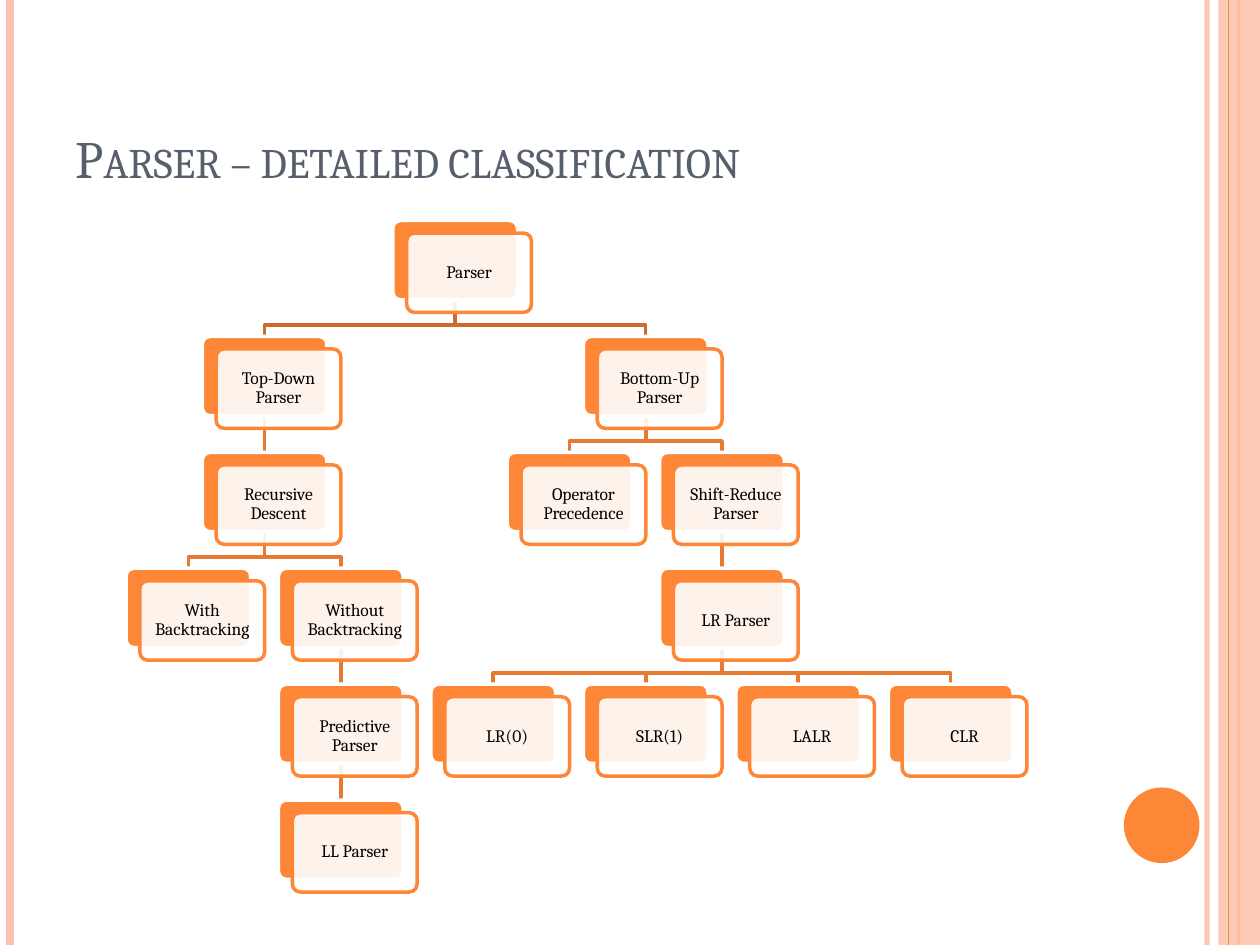
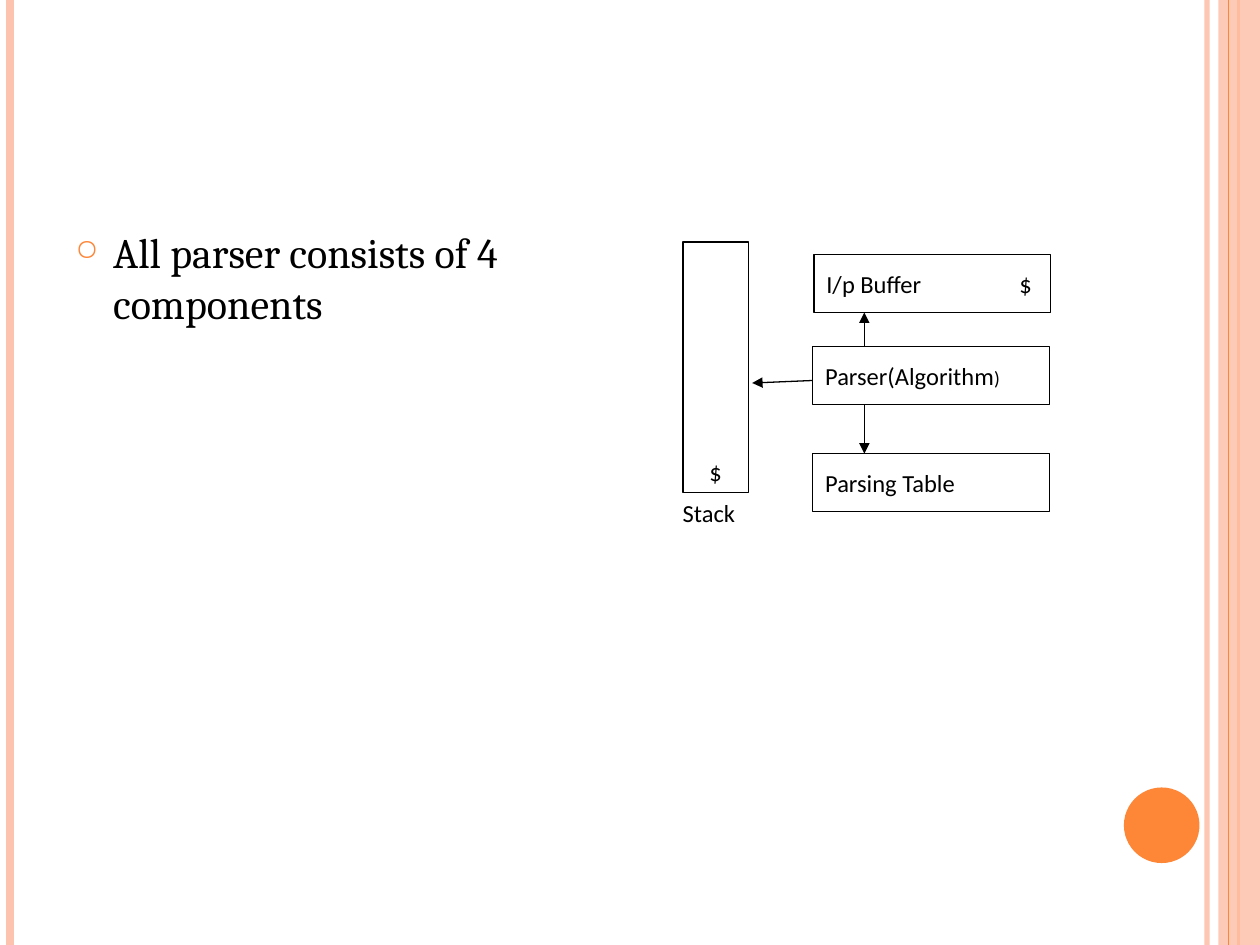
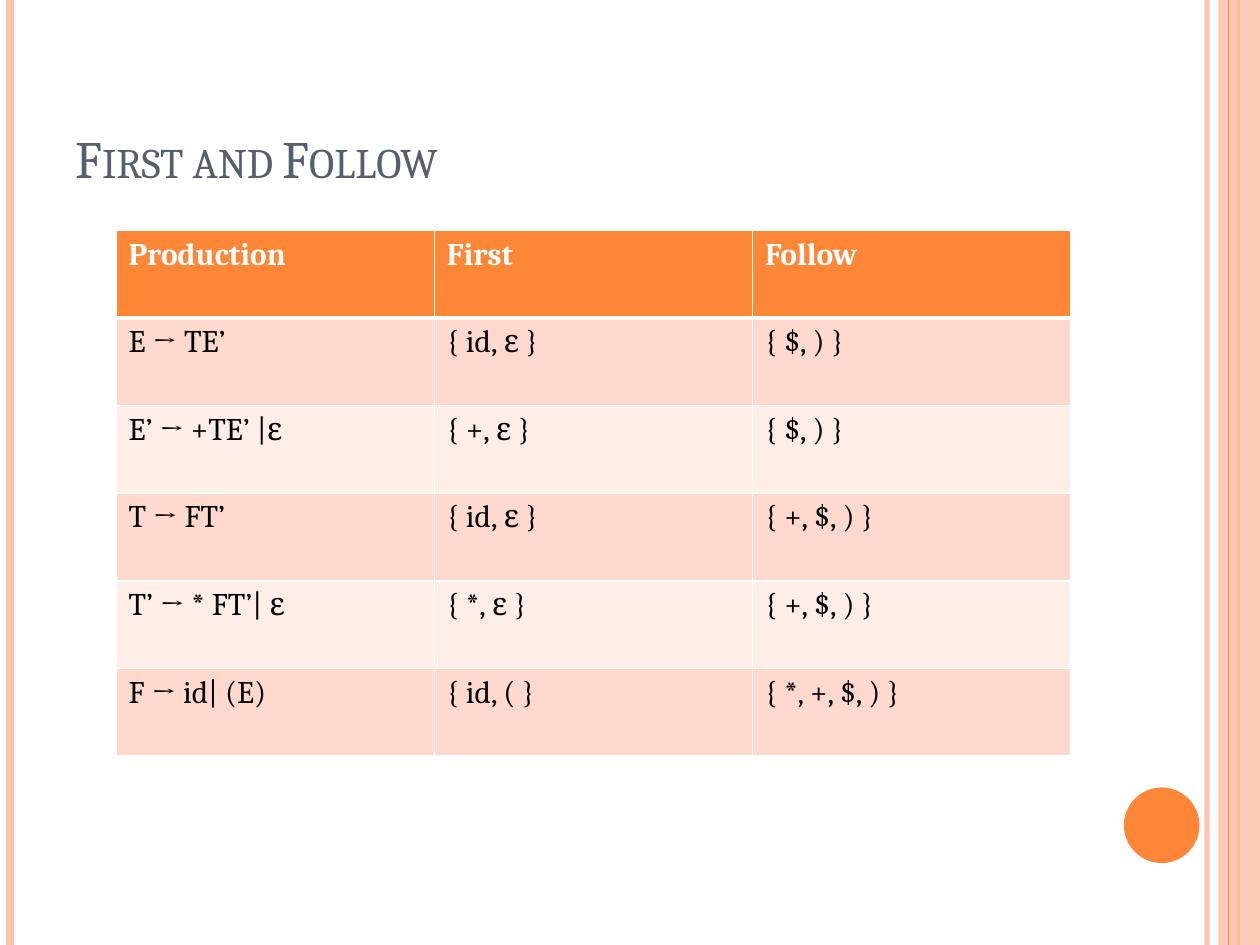
from dataclasses import dataclass

from lxml import etree
from pptx import Presentation
from pptx.dml.color import RGBColor
from pptx.enum.shapes import MSO_CONNECTOR, MSO_SHAPE
from pptx.enum.text import MSO_ANCHOR, PP_ALIGN
from pptx.oxml.ns import qn
from pptx.util import Inches, Pt

STRAIGHT = MSO_CONNECTOR.STRAIGHT
RECTANGLE, ROUNDED, OVAL = MSO_SHAPE.RECTANGLE, MSO_SHAPE.ROUNDED_RECTANGLE, MSO_SHAPE.OVAL
TOP, MIDDLE, BOTTOM = MSO_ANCHOR.TOP, MSO_ANCHOR.MIDDLE, MSO_ANCHOR.BOTTOM
LEFT, CENTER = PP_ALIGN.LEFT, PP_ALIGN.CENTER
SITE_TOP, SITE_BOTTOM = 0, 2

ORANGE = RGBColor(0xFE, 0x86, 0x37)
PEACH = RGBColor(0xFE, 0xC3, 0xAE)
SLATE = RGBColor(0x57, 0x5F, 0x6D)
TOP_BRANCH = RGBColor(0xCB, 0x6B, 0x2C)
BRANCH = RGBColor(0xE7, 0x7A, 0x32)
DARK_BAND = RGBColor(0xFF, 0xD9, 0xCE)
LIGHT_BAND = RGBColor(0xFF, 0xED, 0xE8)
WHITE = RGBColor(0xFF, 0xFF, 0xFF)
BLACK = RGBColor(0x00, 0x00, 0x00)

SERIF, SANS = "Cambria", "Calibri"
PAGE_WIDTH, PAGE_HEIGHT = 10, 7.5

CARD_WIDTH, CARD_HEIGHT = 0.99, 0.63
CARD_SHIFT_X, CARD_SHIFT_Y = 0.11, 0.1
TREE_LEFT, TREE_TOP = 1, 1.75
COLUMN_STEP, LEVEL_STEP = 1.21, 0.92
BRANCH_DROP = 0.2


@dataclass(frozen=True)
class Stripe:
    x: float
    color: RGBColor
    weight: float
    opacity: int = 100


@dataclass(frozen=True)
class Node:
    label: str
    column: float
    level: int
    parent: str = ""

    @property
    def left(self) -> float:
        return TREE_LEFT + self.column * COLUMN_STEP

    @property
    def top(self) -> float:
        return TREE_TOP + self.level * LEVEL_STEP

    @property
    def middle(self) -> float:
        return self.left + CARD_WIDTH / 2


@dataclass(frozen=True)
class Component:
    label: str
    left: float
    top: float
    width: float = 1.88
    height: float = 0.46
    anchor: MSO_ANCHOR = MIDDLE
    align: PP_ALIGN = LEFT
    small_ending: str = ""


@dataclass(frozen=True)
class Arrow:
    start: tuple[float, float]
    end: tuple[float, float]


LEFT_STRIPES = [Stripe(9.58, PEACH, 3, 93), Stripe(0.08, PEACH, 4.5), Stripe(9.83, ORANGE, 1.5)]
FRONT_STRIPE = Stripe(9.75, ORANGE, 0.75)

NODES = [
    Node("Parser", 1.75, 0),
    Node("Top-Down Parser", 0.5, 1, "Parser"),
    Node("Recursive Descent", 0.5, 2, "Top-Down Parser"),
    Node("With Backtracking", 0, 3, "Recursive Descent"),
    Node("Without Backtracking", 1, 3, "Recursive Descent"),
    Node("Predictive Parser", 1, 4, "Without Backtracking"),
    Node("LL Parser", 1, 5, "Predictive Parser"),
    Node("Bottom-Up Parser", 3, 1, "Parser"),
    Node("Operator Precedence", 2.5, 2, "Bottom-Up Parser"),
    Node("Shift-Reduce Parser", 3.5, 2, "Bottom-Up Parser"),
    Node("LR Parser", 3.5, 3, "Shift-Reduce Parser"),
    Node("LR(0)", 2, 4, "LR Parser"),
    Node("SLR(1)", 3, 4, "LR Parser"),
    Node("LALR", 4, 4, "LR Parser"),
    Node("CLR", 5, 4, "LR Parser"),
]

COMPONENTS = [
    Component("$", 5.42, 1.92, 0.52, 1.99, BOTTOM, CENTER),
    Component("Parsing Table", 6.45, 3.6),
    Component("I/p Buffer\t$", 6.46, 2.02),
    Component("Parser(Algorithm", 6.45, 2.75, small_ending=")"),
]
BUFFER_TAB = 1.63

ARROWS = [
    Arrow((6.45, 3.02), (5.97, 3.04)),
    Arrow((6.86, 3.21), (6.86, 3.6)),
    Arrow((6.86, 2.75), (6.86, 2.48)),
]

FIRST_FOLLOW = [
    ("Production", "First", "Follow"),
    ("E → TE’", "{ id, ε }", "{ $, ) }"),
    ("E’ → +TE’ |ε", "{ +, ε }", "{ $, ) }"),
    ("T → FT’", "{ id, ε }", "{ +, $, ) }"),
    ("T’ → * FT’| ε", "{ *, ε }", "{ +, $, ) }"),
    ("F → id| (E)", "{ id, ( }", "{ *, +, $, ) }"),
]


def set_opacity(parent, percent: int) -> None:
    """Make the first solid colour under an XML element partly transparent."""
    color = parent.find(".//" + qn("a:srgbClr"))
    etree.SubElement(color, qn("a:alpha"), val=str(percent * 1000))


def style_font(para, name: str, size: float, color: RGBColor, bold: bool = False) -> None:
    font = para.font
    font.name, font.size, font.bold = name, Pt(size), bold
    font.color.rgb = color


def add_box(page, kind, left: float, top: float, width: float, height: float,
            fill: RGBColor, line: RGBColor | None = None, weight: float = 0.75,
            opacity: int = 100):
    box = page.shapes.add_shape(kind, Inches(left), Inches(top), Inches(width), Inches(height))
    box.shadow.inherit = False
    box.fill.solid()
    box.fill.fore_color.rgb = fill
    if opacity < 100:
        set_opacity(box._element.spPr, opacity)
    if line is None:
        box.line.fill.background()
    else:
        box.line.color.rgb = line
        box.line.width = Pt(weight)
    return box


def add_text(page, left: float, top: float, width: float, height: float,
             text: str, anchor: MSO_ANCHOR = TOP):
    """Add a wrapping text box and return its only paragraph."""
    frame = page.shapes.add_textbox(
        Inches(left), Inches(top), Inches(width), Inches(height)).text_frame
    frame.word_wrap = True
    frame.vertical_anchor = anchor
    para = frame.paragraphs[0]
    para.text = text
    return para


def add_line(page, start: tuple[float, float], end: tuple[float, float],
             color: RGBColor, weight: float):
    line = page.shapes.add_connector(STRAIGHT, *(Inches(value) for value in (*start, *end)))
    line.line.color.rgb = color
    line.line.width = Pt(weight)
    etree.SubElement(line._element.spPr, qn("a:effectLst"))
    return line


def add_stripe(page, stripe: Stripe) -> None:
    line = add_line(page, (stripe.x, 0), (stripe.x, PAGE_HEIGHT), stripe.color, stripe.weight)
    if stripe.opacity < 100:
        set_opacity(line._element.spPr, stripe.opacity)


def add_page(deck, title: str = ""):
    """Add a blank slide with the shared decoration and, if given, a title."""
    page = deck.slides.add_slide(deck.slide_layouts[6])
    for stripe in LEFT_STRIPES:
        add_stripe(page, stripe)
    add_box(page, RECTANGLE, 9.67, 0, 0.33, PAGE_HEIGHT, PEACH, opacity=87)
    add_stripe(page, FRONT_STRIPE)
    add_box(page, OVAL, 8.92, 6.25, 0.6, 0.6, ORANGE)
    if title:
        para = add_text(page, 0.5, 0.3, 8.17, 1.25, title, BOTTOM)
        style_font(para, SERIF, 30, SLATE)
        para._p.pPr.find(qn("a:defRPr")).set("cap", "small")
    return page


def add_elbow(page, parent: Node, child: Node) -> None:
    start = parent.top + CARD_HEIGHT
    bend = start + BRANCH_DROP
    points = [(parent.middle, bend), (child.middle, bend), (child.middle, child.top)]
    builder = page.shapes.build_freeform(Inches(parent.middle), Inches(start))
    builder.add_line_segments([(Inches(x), Inches(y)) for x, y in points], close=False)
    elbow = builder.convert_to_shape()
    elbow.shadow.inherit = False
    elbow.fill.background()
    elbow.line.color.rgb = TOP_BRANCH if parent.level == 0 else BRANCH
    elbow.line.width = Pt(2)


def add_card(page, node: Node):
    """Draw a node as two shifted cards and return the back one."""
    back = add_box(page, ROUNDED, node.left, node.top, CARD_WIDTH, CARD_HEIGHT,
                   ORANGE, WHITE, 2)
    front = add_box(page, ROUNDED, node.left + CARD_SHIFT_X, node.top + CARD_SHIFT_Y,
                    CARD_WIDTH, CARD_HEIGHT, WHITE, ORANGE, 2, opacity=90)
    for card in (back, front):
        card.adjustments[0] = 0.1
    frame = front.text_frame
    frame.word_wrap = True
    frame.vertical_anchor = MIDDLE
    frame.margin_left = frame.margin_right = Inches(0.04)
    frame.margin_top = frame.margin_bottom = Inches(0.04)
    para = frame.paragraphs[0]
    para.text = node.label
    para.alignment = CENTER
    para.line_spacing = 0.9
    style_font(para, SERIF, 10, BLACK)
    return back


def build_classification(deck) -> None:
    page = add_page(deck, "Parser – detailed classification")
    by_label = {node.label: node for node in NODES}
    straight_links = []
    for child in NODES[1:]:
        parent = by_label[child.parent]
        if child.column == parent.column:
            link = add_line(page, (parent.middle, parent.top + CARD_HEIGHT),
                            (child.middle, child.top), BRANCH, 2)
            straight_links.append((link, child))
        else:
            add_elbow(page, parent, child)
    cards = {node.label: add_card(page, node) for node in NODES}
    for link, child in straight_links:
        link.begin_connect(cards[child.parent], SITE_BOTTOM)
        link.end_connect(cards[child.label], SITE_TOP)


def add_component(page, component: Component) -> None:
    box = add_box(page, RECTANGLE, component.left, component.top,
                  component.width, component.height, WHITE, BLACK)
    frame = box.text_frame
    frame.word_wrap = True
    frame.vertical_anchor = component.anchor
    para = frame.paragraphs[0]
    para.alignment = component.align
    para.add_run().text = component.label
    if "\t" in component.label:
        tabs = etree.SubElement(para._p.get_or_add_pPr(), qn("a:tabLst"))
        etree.SubElement(tabs, qn("a:tab"), pos=str(Inches(BUFFER_TAB)), algn="r")
    style_font(para, SANS, 14, BLACK)
    if component.small_ending:
        span = para.add_run()
        span.text = component.small_ending
        span.font.size = Pt(11)


def add_bullet(para) -> None:
    properties = para._p.get_or_add_pPr()
    properties.set("marL", str(Inches(0.3)))
    properties.set("indent", str(-Inches(0.3)))
    color = etree.SubElement(properties, qn("a:buClr"))
    etree.SubElement(color, qn("a:srgbClr"), val=str(ORANGE))
    etree.SubElement(properties, qn("a:buSzPct"), val="70000")
    etree.SubElement(properties, qn("a:buChar"), char="○")


def build_components(deck) -> None:
    page = add_page(deck)
    para = add_text(page, 0.5, 1.75, 4.83, 5.33, "All parser consists of 4 components")
    add_bullet(para)
    style_font(para, SERIF, 24, BLACK)
    for component in COMPONENTS:
        add_component(page, component)
    style_font(add_text(page, 5.32, 3.9, 0.66, 0.52, "Stack"), SANS, 14, BLACK)
    for arrow in ARROWS:
        line = add_line(page, arrow.start, arrow.end, BLACK, 0.75)
        etree.SubElement(line.line._get_or_add_ln(), qn("a:tailEnd"), type="triangle")


def add_borders(cell, top: float, bottom: float) -> None:
    properties = cell._tc.get_or_add_tcPr()
    for side, weight in (("L", 1), ("R", 1), ("T", top), ("B", bottom)):
        border = etree.SubElement(properties, qn(f"a:ln{side}"), w=str(Pt(weight)))
        fill = etree.SubElement(border, qn("a:solidFill"))
        etree.SubElement(fill, qn("a:srgbClr"), val=str(WHITE))


def build_first_follow(deck) -> None:
    page = add_page(deck, "First and Follow")
    table = page.shapes.add_table(
        len(FIRST_FOLLOW), len(FIRST_FOLLOW[0]),
        Inches(0.92), Inches(1.83), Inches(7.58), Inches(4.17)).table
    for row, texts in enumerate(FIRST_FOLLOW):
        header = row == 0
        band = ORANGE if header else (LIGHT_BAND, DARK_BAND)[row % 2]
        for column, text in enumerate(texts):
            cell = table.cell(row, column)
            add_borders(cell, top=3 if row == 1 else 1, bottom=3 if header else 1)
            cell.fill.solid()
            cell.fill.fore_color.rgb = band
            para = cell.text_frame.paragraphs[0]
            para.text = text
            style_font(para, SERIF, 18, WHITE if header else BLACK, bold=header)


def main() -> None:
    deck = Presentation()
    deck.slide_width, deck.slide_height = Inches(PAGE_WIDTH), Inches(PAGE_HEIGHT)
    build_classification(deck)
    build_components(deck)
    build_first_follow(deck)
    deck.save("out.pptx")


if __name__ == "__main__":
    main()
